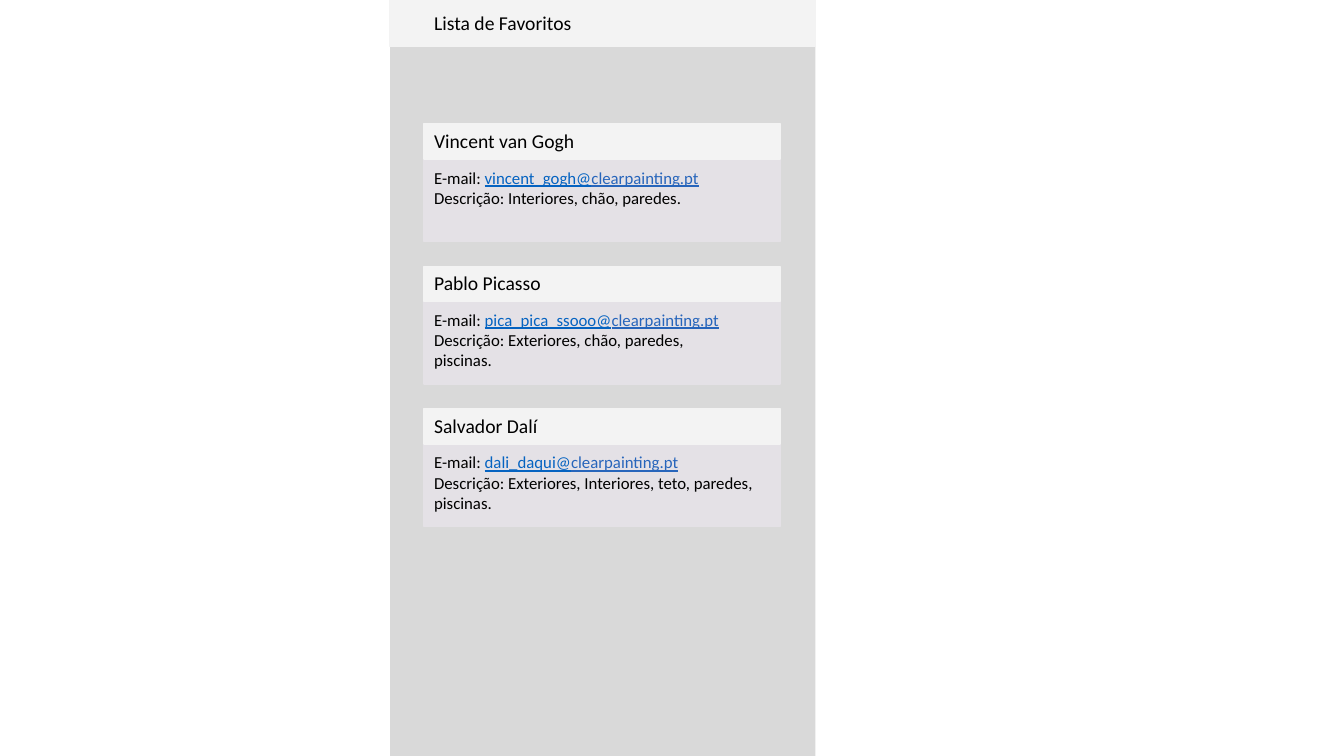
from dataclasses import dataclass

from pptx import Presentation
from pptx.dml.color import RGBColor
from pptx.enum.shapes import MSO_SHAPE
from pptx.slide import Slide
from pptx.util import Cm, Pt

RECTANGLE = MSO_SHAPE.RECTANGLE

BLACK = RGBColor(0x00, 0x00, 0x00)
PANEL_GREY = RGBColor(0xD9, 0xD9, 0xD9)
BAR_GREY = RGBColor(0xF3, 0xF3, 0xF3)
CARD_LILAC = RGBColor(0xE4, 0xE1, 0xE6)
LINK_BLUE = RGBColor(0x05, 0x63, 0xC1)
DOMAIN_BLUE = RGBColor(0x27, 0x65, 0xBB)

FONT = "Calibri"
DOMAIN = "clearpainting.pt"
TITLE_SIZE, DETAIL_SIZE = 14, 12

# Lengths in centimetres
PANEL_LEFT, PANEL_WIDTH, PANEL_HEIGHT = 9.83, 10.72, 19.05
TITLE_BAR_HEIGHT = 1.17
CARD_LEFT, CARD_WIDTH = 10.69, 8.97
FIRST_CARD_TOP, CARD_PITCH = 3.12, 3.59
NAME_HEIGHT, DETAIL_HEIGHT = 0.89, 2.08
LABEL_HEIGHT, DETAIL_TEXT_HEIGHT = 0.86, 1.8
DETAIL_TEXT_OFFSET = 0.08


@dataclass(frozen=True)
class Span:
    """A stretch of text in one colour."""
    text: str
    color: RGBColor = BLACK
    underline: bool = False


@dataclass(frozen=True)
class Painter:
    """A favourite painter and the widths of the card's two texts."""
    name: str
    user: str
    description: tuple[str, ...]
    name_width: float
    detail_width: float


PAINTERS = (
    Painter("Vincent van Gogh", "vincent_gogh@",
            ("Descrição: Interiores, chão, paredes.",), 4.09, 7.39),
    Painter("Pablo Picasso", "pica_pica_ssooo@",
            ("Descrição: Exteriores, chão, paredes,", "piscinas."), 3.23, 7.92),
    Painter("Salvador Dalí", "dali_daqui@",
            ("Descrição: Exteriores, Interiores, teto, paredes,", "piscinas."),
            3.15, 8.74),
)


def add_block(page: Slide, left: float, top: float, width: float,
              height: float, color: RGBColor, outlined: bool = True) -> None:
    """Draw a flat rectangle, with an outline in its own colour if wanted."""
    block = page.shapes.add_shape(RECTANGLE, Cm(left), Cm(top), Cm(width), Cm(height))
    block.shadow.inherit = False
    block.fill.solid()
    block.fill.fore_color.rgb = color
    if outlined:
        block.line.color.rgb = color
        block.line.width = Pt(1)
    else:
        block.line.fill.background()


def add_text(page: Slide, top: float, width: float, height: float,
             lines: list[list[Span]], size: int) -> None:
    """Write lines of spans at the left edge of the cards."""
    box = page.shapes.add_textbox(Cm(CARD_LEFT), Cm(top), Cm(width), Cm(height))
    frame = box.text_frame
    frame.word_wrap = False
    for index, line in enumerate(lines):
        para = frame.add_paragraph() if index else frame.paragraphs[0]
        for span in line:
            run = para.add_run()
            run.text = span.text
            run.font.name = FONT
            run.font.size = Pt(size)
            run.font.color.rgb = span.color
            if span.underline:
                run.font.underline = True


def add_card(page: Slide, painter: Painter, top: float) -> None:
    """Draw one painter's name bar, details and texts."""
    detail_top = top + NAME_HEIGHT
    add_block(page, CARD_LEFT, detail_top, CARD_WIDTH, DETAIL_HEIGHT, CARD_LILAC)
    add_block(page, CARD_LEFT, top, CARD_WIDTH, NAME_HEIGHT, BAR_GREY)
    add_text(page, top, painter.name_width, LABEL_HEIGHT,
             [[Span(painter.name)]], TITLE_SIZE)
    email = [Span("E-mail: "), Span(painter.user, LINK_BLUE, True),
             Span(DOMAIN, DOMAIN_BLUE, True)]
    details = [email] + [[Span(line)] for line in painter.description]
    add_text(page, detail_top + DETAIL_TEXT_OFFSET, painter.detail_width,
             DETAIL_TEXT_HEIGHT, details, DETAIL_SIZE)


def main() -> None:
    """Build the favourites screen and save the deck."""
    deck = Presentation()
    deck.slide_width, deck.slide_height = Cm(33.87), Cm(19.05)
    page = deck.slides.add_slide(deck.slide_layouts[6])

    add_block(page, PANEL_LEFT, 0, PANEL_WIDTH, PANEL_HEIGHT, PANEL_GREY, outlined=False)
    add_block(page, PANEL_LEFT, 0, PANEL_WIDTH, TITLE_BAR_HEIGHT, BAR_GREY)
    add_text(page, 0.15, 4.01, LABEL_HEIGHT, [[Span("Lista de Favoritos")]], TITLE_SIZE)
    for index, painter in enumerate(PAINTERS):
        add_card(page, painter, FIRST_CARD_TOP + index * CARD_PITCH)

    deck.save("out.pptx")


main()
